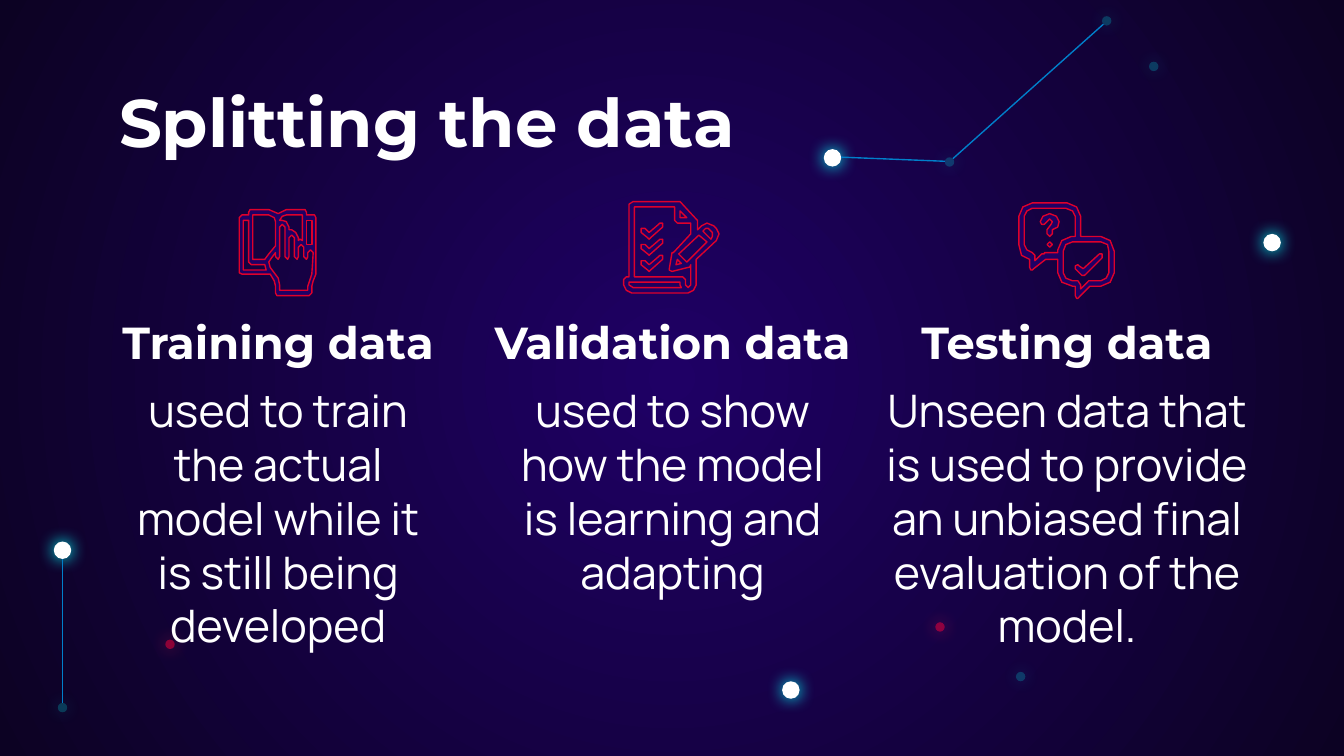
"""Build the "Splitting the data" slide with three columns and a starry backdrop."""
from dataclasses import dataclass

from lxml import etree
from pptx import Presentation
from pptx import util as u
from pptx.dml.color import RGBColor
from pptx.enum import shapes, text
from pptx.oxml import ns


@dataclass(frozen=True)
class Theme:
    centre: str = "1F0065"
    edge: str = "0C0223"
    white: str = "FFFFFF"
    cyan: str = "00FFFD"
    red: str = "FF003A"
    red_glow: str = "FF2758"
    link: str = "007FCA"
    outline: str = "DE002B"
    head_font: str = "Montserrat"
    body_font: str = "Manrope"
    title_size: float = 36
    text_size: float = 24
    line: float = 0.75
    glow: float = 9
    grid: float = 0.72


@dataclass(frozen=True)
class Dot:
    x: float
    y: float
    size: float
    color: str
    glow: str
    opacity: int = 100


@dataclass(frozen=True)
class Icon:
    x: float
    y: float
    outlines: tuple


@dataclass(frozen=True)
class Column:
    head: str
    head_width: float
    body: str
    body_width: float
    icon: Icon


T = Theme()
FIRST_CENTRE, COLUMN_STEP = 149, 211.3


def star(x: float, y: float) -> Dot:
    return Dot(x, y, 9.36, T.white, T.cyan)


def faint(x: float, y: float) -> Dot:
    return Dot(x, y, 5.04, T.cyan, T.cyan, 20)


def ember(x: float, y: float) -> Dot:
    return Dot(x, y, 5.04, T.red, T.red_glow, 48)


BACK_DOTS = (faint(618.1, 35.6), star(681.5, 130), faint(546.8, 362.5),
             star(423.7, 369.7), star(33.5, 294.8), faint(33.5, 379.1))
FRONT_DOTS = (faint(508.7, 86.8), faint(592.9, 11.2), star(446, 84.6),
              ember(503.6, 335.9), ember(91.1, 345.2))
LINKS = ((33.5, 376.6, 33.5, 299.5), (506.2, 86.4, 450.7, 84.2), (591.1, 13, 510.5, 85))

BOOK = Icon(128.2, 112.3, ((
    "47 4 47 23 45 22 44 23 44 21 42 17 39 15 37 15 37 13 35 9 32 8 30 8 32 5 35 4",
    "54 8 54 26 52 26 50 26 50 8",
    "22 4 26 6 27 9 27 27 22 33 19 37 10 37 10 4",
    "7 8 7 39 9 41 19 41 20 45 3 45 3 8",
    "32 11 34 13 34 35 36 37 37 35 37 21 39 19 41 21 41 35 43 37 44 35 44 28 46 26 48 28 "
    "48 35 50 37 51 35 51 32 53 30 55 32 54 48 53 51 51 57 51 60 30 60 30 56 29 51 23 43 "
    "22 39 24 36 27 32 27 35 29 37 30 35 30 13",
    "8 0 7 2 7 4 2 4 0 6 0 47 2 48 23 48 26 53 27 57 27 62 28 64 52 64 54 62 54 57 55 53 "
    "57 48 57 6 56 4 50 4 50 2 49 0 35 0 29 3 22 0"),))
TICK = ((27, 16), (26, 17), (19, 23), (16, 20), (15, 20), (13, 20),
        (13, 23), (18, 27), (19, 28), (20, 27), (29, 19), (29, 16))
TICKS = tuple((" ".join(f"{x} {y + drop}" for x, y in TICK),) for drop in (24, 12, 0))
CHECKLIST = Icon(334.1, 108, TICKS + ((
    "42 7 47 12 42 12",
    "62 20 63 20 66 23 66 26 65 28 59 22 61 20",
    "56 25 62 30 47 45 41 39",
    "40 43 43 46 39 47",
    "42 60 42 62 43 64 7 64 4 62 4 60",
    "38 4 38 14 40 16 50 16 50 24 37 38 36 38 34 50 34 51 36 52 48 49 49 49 50 47 50 62 "
    "48 64 46 62 46 58 44 56 8 56 8 4",
    "7 0 4 2 4 56 2 56 0 58 0 62 2 66 6 68 48 68 52 66 54 62 54 43 69 29 71 24 69 20 "
    "67 18 62 16 58 18 55 21 55 14 54 13 42 0 40 0"),))
BUBBLES = Icon(545.8, 108.7, (
    ("23 29 21 31 23 33 25 31",),
    ("61 38 60 38 48 49 45 47 44 46 42 47 42 49 47 54 48 54 49 54 62 41 62 38",),
    ("35 4 40 6 42 10 42 25 39 25 32 28 29 35 29 37 19 37 19 38 17 38 12 43 12 39 10 37 "
     "6 35 4 31 4 10 6 6 10 4",
     "61 29 66 31 67 36 67 52 65 56 61 58 52 58 51 59 46 64 46 61 44 58 40 58 35 56 33 52 "
     "33 36 35 31 40 29",
     "10 0 3 3 0 10 0 31 2 39 8 42 8 48 9 50 10 50 11 49 20 42 29 42 29 52 32 59 40 62 "
     "42 62 42 69 43 71 44 71 45 70 53 62 61 62 68 59 71 52 71 36 68 28 61 25 46 25 46 10 "
     "43 3 36 0"),
    ("23 8 18 10 16 14 17 16 19 16 21 14 23 12 25 14 24 16 21 20 21 23 23 25 25 23 25 20 "
     "29 18 30 14 28 10",)))

COLUMNS = (
    Column("Training data", 184.3,
           "used to train the actual model while it is still being developed", 184.3, BOOK),
    Column("Validation data", 211.7,
           "used to show how the model is learning and adapting", 184.3, CHECKLIST),
    Column("Testing data", 184.3,
           "Unseen data that is used to provide an unbiased final evaluation of the model.",
           223.9, BUBBLES))


def rgb(color: str) -> RGBColor:
    return RGBColor.from_string(color)


def paint_background(s) -> None:
    fill = s.background.fill
    fill.gradient()
    for stop, color in zip(fill.gradient_stops, (T.centre, T.edge)):
        stop.color.rgb = rgb(color)
    grad = s.element.find(".//" + ns.qn("a:gradFill"))
    grad.remove(grad.find(ns.qn("a:lin")))
    circle = etree.SubElement(grad, ns.qn("a:path"), {"path": "circle"})
    etree.SubElement(circle, ns.qn("a:fillToRect"), dict.fromkeys("ltrb", "50000"))


def add_dot(s, dot: Dot) -> None:
    half = dot.size / 2
    sp = s.shapes.add_shape(shapes.MSO_SHAPE.OVAL, u.Pt(dot.x - half), u.Pt(dot.y - half),
                            u.Pt(dot.size), u.Pt(dot.size))
    sp.fill.solid()
    sp.fill.fore_color.rgb = rgb(dot.color)
    sp.line.fill.background()
    sp.shadow.inherit = False
    pr = sp.element.spPr
    if dot.opacity < 100:
        etree.SubElement(pr.find(ns.qn("a:solidFill"))[0], ns.qn("a:alpha"),
                         val=str(dot.opacity * 1000))
    glow = etree.SubElement(pr.find(ns.qn("a:effectLst")), ns.qn("a:outerShdw"),
                            blurRad=str(u.Pt(T.glow)), dist="0", dir="0",
                            algn="ctr", rotWithShape="0")
    etree.SubElement(glow, ns.qn("a:srgbClr"), val=dot.glow)


def add_link(s, x1: float, y1: float, x2: float, y2: float) -> None:
    cx = s.shapes.add_connector(shapes.MSO_CONNECTOR.STRAIGHT,
                                u.Pt(x1), u.Pt(y1), u.Pt(x2), u.Pt(y2))
    cx.line.color.rgb = rgb(T.link)
    cx.line.width = u.Pt(T.line)
    etree.SubElement(cx.element.spPr, ns.qn("a:effectLst"))


def add_text(s, words: str, x: float, y: float, w: float, h: float, font: str, size: float,
             anchor, align=text.PP_ALIGN.CENTER, bold: bool = False) -> None:
    tf = s.shapes.add_textbox(u.Pt(x), u.Pt(y), u.Pt(w), u.Pt(h)).text_frame
    tf.word_wrap = True
    tf.vertical_anchor = anchor
    tf.margin_left = tf.margin_right = tf.margin_top = tf.margin_bottom = u.Pt(7.2)
    p = tf.paragraphs[0]
    p.alignment = align
    r = p.add_run()
    r.text = words
    r.font.name, r.font.size, r.font.bold = font, u.Pt(size), bold
    r.font.color.rgb = rgb(T.white)


def add_icon(s, icon: Icon) -> None:
    group = s.shapes.add_group_shape()
    for outline in icon.outlines:
        builder = None
        for contour in outline:
            n = [int(v) for v in contour.split()]
            points = list(zip(n[::2], n[1::2]))
            if builder is None:
                builder = group.shapes.build_freeform(*points[0], scale=u.Pt(T.grid))
            else:
                builder.move_to(*points[0])
            builder.add_line_segments(points[1:], close=True)
        sp = builder.convert_to_shape(u.Pt(icon.x), u.Pt(icon.y))
        sp.fill.solid()
        sp.fill.fore_color.rgb = rgb(T.centre)
        sp.line.color.rgb = rgb(T.outline)
        sp.line.width = u.Pt(T.line)
        sp.shadow.inherit = False


def main() -> None:
    prs = Presentation()
    prs.slide_width, prs.slide_height = u.Pt(720), u.Pt(405)
    s = prs.slides.add_slide(prs.slide_layouts[6])
    paint_background(s)
    for dot in BACK_DOTS + FRONT_DOTS:
        add_dot(s, dot)
    for link in LINKS:
        add_link(s, *link)
    anchor = text.MSO_ANCHOR
    add_text(s, "Splitting the data", 56.7, 42.5, 607, 44.6, T.head_font, T.title_size,
             anchor.MIDDLE, text.PP_ALIGN.LEFT, True)
    for i, col in enumerate(COLUMNS):
        x = FIRST_CENTRE + i * COLUMN_STEP
        add_text(s, col.head, x - col.head_width / 2, 162.7, col.head_width, 41.8,
                 T.head_font, T.text_size, anchor.BOTTOM, bold=True)
        add_text(s, col.body, x - col.body_width / 2, 198, col.body_width, 97.2,
                 T.body_font, T.text_size, anchor.TOP)
        add_icon(s, col.icon)
    prs.save("out.pptx")


if __name__ == "__main__":
    main()
